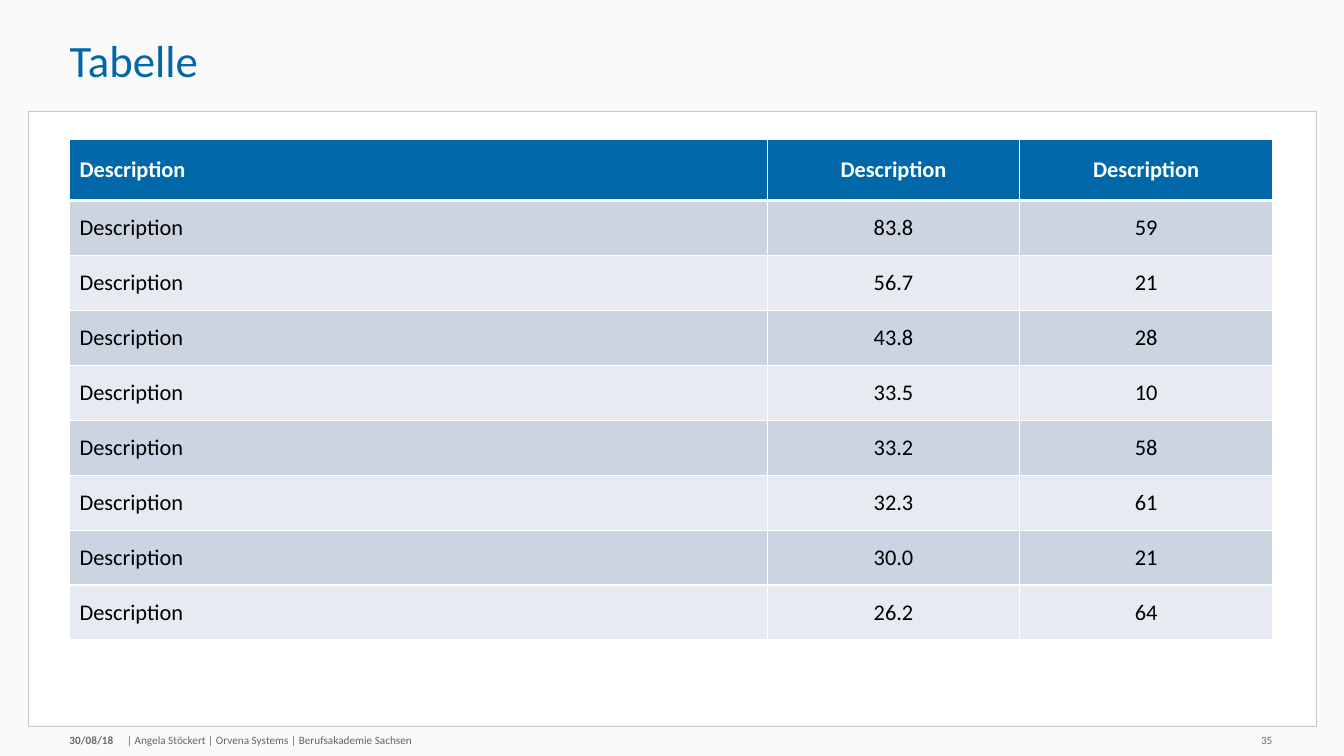
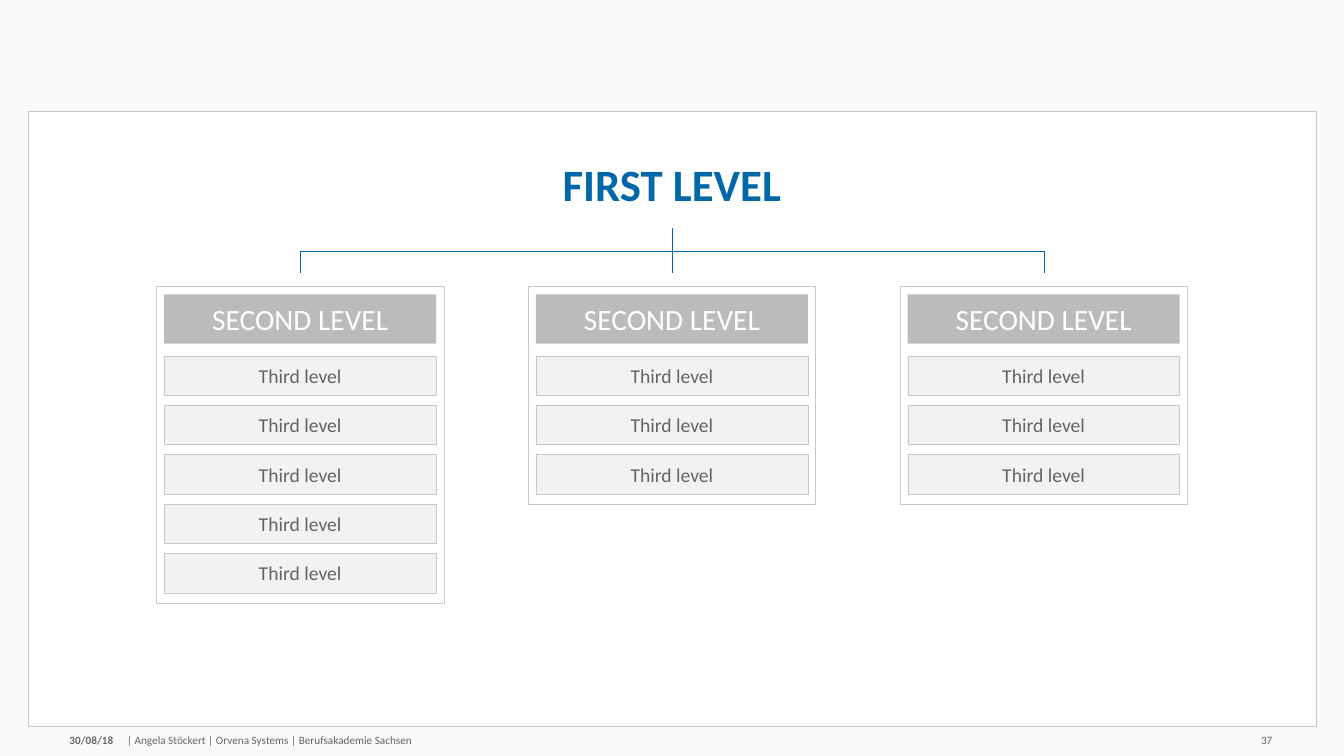
from lxml import etree
from pptx import Presentation
from pptx import util as u
from pptx.dml.color import RGBColor
from pptx.enum import shapes, text
from pptx.oxml import ns

BLUE = RGBColor(0x00, 0x68, 0xA9)
WHITE = RGBColor(0xFF, 0xFF, 0xFF)
BLACK = RGBColor(0x00, 0x00, 0x00)
PAPER = RGBColor(0xFA, 0xFA, 0xFA)
EDGE = RGBColor(0xBF, 0xC9, 0xD2)
GREY = RGBColor(0x64, 0x64, 0x64)
DIM = RGBColor(0x68, 0x68, 0x68)
SILVER = RGBColor(0xBB, 0xBB, 0xBB)
PALE = RGBColor(0xF2, 0xF2, 0xF2)
BANDS = RGBColor(0xE7, 0xEB, 0xF1), RGBColor(0xCC, 0xD4, 0xE2)

FONT = "Calibri"
WIDE, HIGH = 13.34, 7.5
LEFT, RIGHT = 0.69, 12.63
HAIR, PAD = 0.25, 0.07
FOOT, SMALL = 7.28, 0.13
COL, ROW = 3.69, 0.49
BOX, BAR = 2.85, 2.7
TOP, RAIL = 2.84, 2.49
START, STOP = 2.26, 2.71

MID = text.MSO_ANCHOR.MIDDLE
NEAR, CENTER, FAR = text.PP_ALIGN.LEFT, text.PP_ALIGN.CENTER, text.PP_ALIGN.RIGHT

HEAD = ("Description",) * 3
VALUES = [("83.8", "59"), ("56.7", "21"), ("43.8", "28"), ("33.5", "10"),
          ("33.2", "58"), ("32.3", "61"), ("30.0", "21"), ("26.2", "64")]


def inch(*sizes):
    """Turn numbers of inches into lengths."""
    return [u.Inches(size) for size in sizes]


def style(frame, words, size, color, bold=False, align=NEAR):
    """Fill a text frame with one formatted paragraph."""
    frame.text = words
    para = frame.paragraphs[0]
    para.alignment = align
    font = para.runs[0].font
    font.name, font.size, font.bold = FONT, u.Pt(size), bold
    font.color.rgb = color


def write(shape, words, size, color, bold=False, align=NEAR, pad=0):
    """Write centred-height text inside a shape with even insets."""
    frame = shape.text_frame
    frame.word_wrap = True
    frame.auto_size = text.MSO_AUTO_SIZE.NONE
    frame.vertical_anchor = MID
    frame.margin_left = frame.margin_right = u.Inches(pad)
    frame.margin_top = frame.margin_bottom = u.Inches(pad)
    style(frame, words, size, color, bold, align)


def label(slide, place, words, **look):
    """Add a small footer text."""
    write(slide.shapes.add_textbox(*inch(*place)), words, 8, **look)


def title(slide, place, words, **look):
    """Move the title placeholder and write in it."""
    shape = slide.shapes.title
    shape.left, shape.top, shape.width, shape.height = inch(*place)
    write(shape, words, 32, BLUE, **look)
    shape.text_frame.paragraphs[0].line_spacing = 0.9


def rect(slide, place, fill=None, line=None):
    """Add a plain rectangle."""
    shape = slide.shapes.add_shape(shapes.MSO_SHAPE.RECTANGLE, *inch(*place))
    shape.shadow.inherit = False
    if fill is None:
        shape.fill.background()
    else:
        shape.fill.solid()
        shape.fill.fore_color.rgb = fill
    if line is None:
        shape.line.fill.background()
    else:
        shape.line.color.rgb = line
        shape.line.width = u.Pt(HAIR)
    return shape


def rule(slide, *ends):
    """Add a thin blue line."""
    line = slide.shapes.add_connector(shapes.MSO_CONNECTOR.STRAIGHT, *inch(*ends))
    line.line.color.rgb = BLUE
    line.line.width = u.Pt(HAIR)
    etree.SubElement(line._element.spPr, ns.qn("a:effectLst"))


def border(cell, **widths):
    """Give a cell white borders of the given widths."""
    props = cell._tc.get_or_add_tcPr()
    for side in "LRTB":
        line = etree.SubElement(props, ns.qn("a:ln" + side), w=str(u.Pt(widths.get(side, 1))))
        fill = etree.SubElement(line, ns.qn("a:solidFill"))
        etree.SubElement(fill, ns.qn("a:srgbClr"), val=str(WHITE))


def grid(slide, rows):
    """Add the banded table with a blue head row."""
    wide = RIGHT - LEFT
    shape = slide.shapes.add_table(len(rows), 3, *inch(LEFT, 1.38, wide, 4.97))
    table = shape.table
    for col, share in zip(table.columns, (0.58, 0.21, 0.21)):
        col.width = u.Inches(wide * share)
    for r, row in enumerate(rows):
        table.rows[r].height = u.Inches(0.545 if r else 0.61)
        for c, words in enumerate(row):
            cell = table.cell(r, c)
            border(cell, **{0: {"B": 3}, 1: {"T": 3}}.get(r, {}))
            cell.fill.solid()
            cell.fill.fore_color.rgb = BANDS[r % 2] if r else BLUE
            cell.vertical_anchor = MID
            style(cell.text_frame, words, 16, BLACK if r else WHITE, not r,
                  CENTER if c else NEAR)


def branch(slide, left, count):
    """Add one framed column of the chart and its drop line."""
    inner = left + (BOX - BAR) / 2
    rect(slide, (left, TOP, BOX, 0.69 + ROW * count), line=EDGE)
    head = rect(slide, (inner, TOP + 0.08, BAR, ROW), SILVER)
    write(head, "SECOND LEVEL", 21, WHITE, align=CENTER, pad=PAD)
    for step in range(count):
        item = rect(slide, (inner, TOP + 0.69 + ROW * step, BAR, 0.39), PALE, EDGE)
        write(item, "Third level", 14, GREY, align=CENTER, pad=PAD)
    axis = left + BOX / 2
    rule(slide, axis, RAIL, axis, STOP)


def chart(slide, counts):
    """Add the three-level organisation chart."""
    span = COL * (len(counts) - 1)
    left = (WIDE - span - BOX) / 2
    for i, count in enumerate(counts):
        branch(slide, left + COL * i, count)
    rule(slide, (WIDE - span) / 2, RAIL, (WIDE + span) / 2, RAIL)
    rule(slide, WIDE / 2, START, WIDE / 2, RAIL)


def page(deck, number):
    """Add a slide with the shared panel and footer."""
    slide = deck.slides.add_slide(deck.slide_layouts[5])
    panel = rect(slide, (0.28, 1.1, 12.78, 6.1), WHITE, EDGE)
    slide.shapes._spTree.insert(2, panel._element)
    label(slide, (LEFT, FOOT, 0.56, SMALL), "30/08/18", color=DIM, bold=True)
    label(slide, (1.26, FOOT, 4.67, SMALL),
          "| Angela Stöckert | Orvena Systems | Berufsakademie Sachsen", color=GREY)
    label(slide, (RIGHT - 0.79, FOOT, 0.79, SMALL), number, color=DIM, align=FAR)
    return slide


def main():
    """Build and save the slides."""
    deck = Presentation()
    deck.slide_width, deck.slide_height = inch(WIDE, HIGH)
    back = deck.slide_master.background.fill
    back.solid()
    back.fore_color.rgb = PAPER

    slide = page(deck, "35")
    title(slide, (LEFT, 0.14, 10.7, 0.97), "Tabelle")
    grid(slide, [HEAD] + [("Description", *pair) for pair in VALUES])

    slide = page(deck, "37")
    title(slide, (4, 1.52, 5.34, 0.68), "FIRST LEVEL", bold=True, align=CENTER, pad=PAD)
    chart(slide, (5, 3, 3))

    deck.save("out.pptx")


if __name__ == "__main__":
    main()
